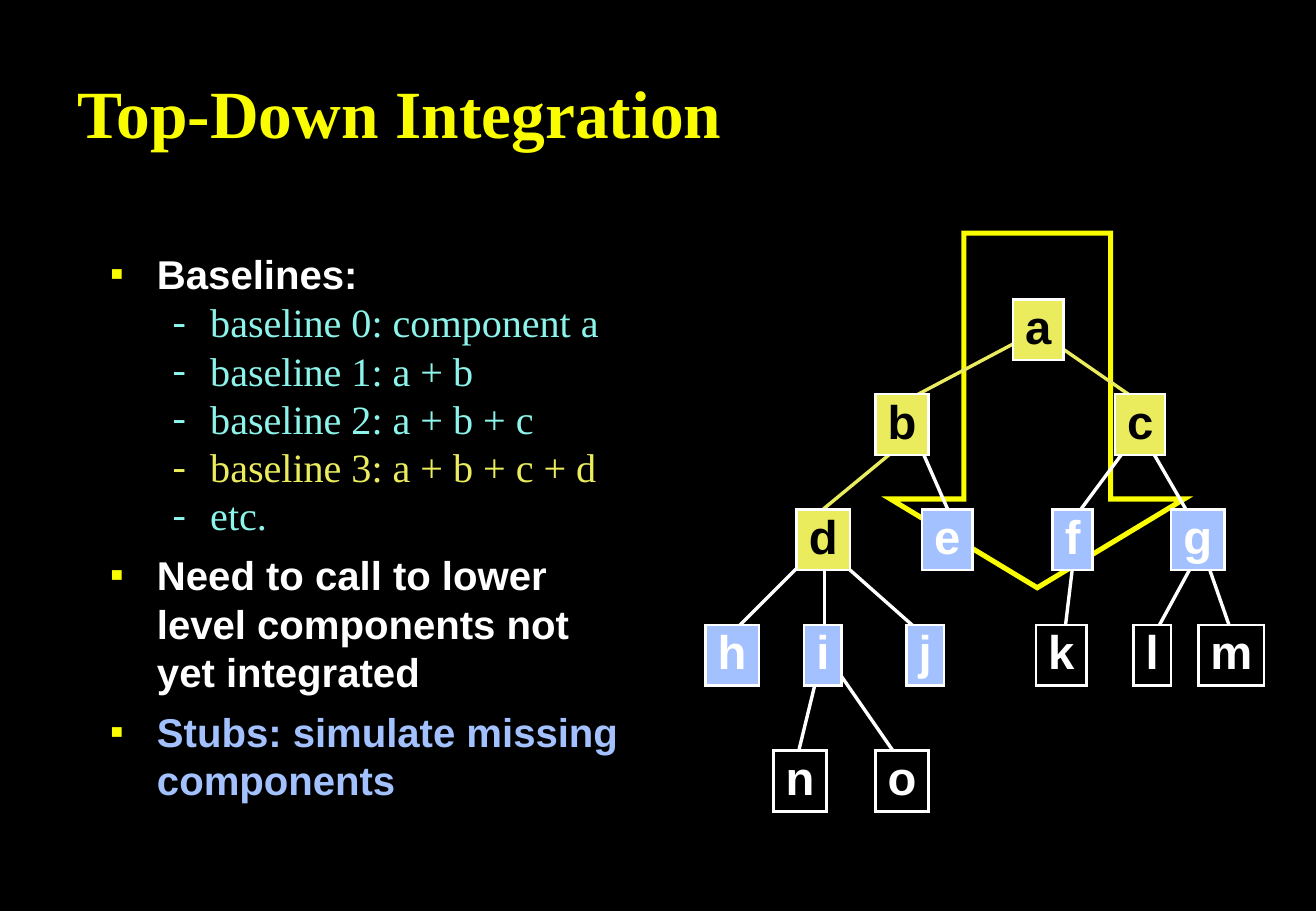
from dataclasses import dataclass

from pptx import Presentation
from pptx.dml.color import RGBColor
from pptx.enum.shapes import MSO_CONNECTOR, MSO_SHAPE
from pptx.enum.text import MSO_ANCHOR, PP_ALIGN
from pptx.oxml.ns import qn
from pptx.util import Pt
from lxml.etree import SubElement


@dataclass(frozen=True)
class Theme:
    black: str = "000000"
    white: str = "FFFFFF"
    yellow: str = "FAFD00"
    done: str = "EAEC5E"
    stub: str = "A2C1FE"
    aqua: str = "8CF4EA"
    sans: str = "Arial"
    serif: str = "Times New Roman"
    title_size: float = 40
    body_size: float = 23.8
    node_size: float = 28


THEME = Theme()

# Node boxes: width by letter, top by tree level
NODE_HEIGHT = 36
NODE_WIDTHS = {**dict.fromkeys("acek", 29.8), **dict.fromkeys("bdghno", 31.7),
               **dict.fromkeys("ijl", 22.3), "f": 23.8, "m": 39.1}
LEVEL_TOPS = [177.5, 233.7, 302, 370.4, 445]

# Left edge of each component, level by level
TREE_LEVELS = [
    {"a": 600.8},
    {"b": 519.1, "c": 661.2},
    {"d": 472.3, "e": 546.8, "f": 624.2, "g": 694.4},
    {"h": 418.3, "i": 476.8, "j": 537.4, "k": 614.4, "l": 672, "m": 710.6},
    {"n": 458.6, "o": 519.1},
]
INTEGRATED, STUBS = "abcd", "efghij"

# Call links between components: start x, y and end x, y
LINKS = {
    "be": (545.8, 265, 563.8, 306),
    "cf": (677.5, 252.7, 637.9, 306),
    "cg": (676.8, 256.3, 705.6, 306),
    "gl": (707.8, 333.4, 685.4, 374.4),
    "gm": (712.8, 324.7, 732.2, 380.2),
    "fk": (637.2, 326.2, 631.4, 374.4),
    "dh": (486.7, 322.6, 431.3, 378),
    "di": (488.9, 333.4, 488.9, 374.4),
    "dj": (499, 333.4, 549.4, 378),
    "in": (487.4, 388.8, 472.3, 450.7),
    "io": (489.6, 387.4, 535, 452.9),
    "ab": (610.6, 198.7, 537.1, 237.6),
    "ac": (618.5, 198.7, 676.8, 239),
    "bd": (532.8, 265, 483.1, 306),
}

# Body text: level, text, colour
BODY = [
    (0, "Baselines:", THEME.white),
    (1, "baseline 0: component a", THEME.aqua),
    (1, "baseline 1: a + b", THEME.aqua),
    (1, "baseline 2: a + b + c", THEME.aqua),
    (1, "baseline 3: a + b + c + d", THEME.done),
    (1, "etc.", THEME.aqua),
    (0, "Need to call to lower\vlevel components not\vyet integrated", THEME.white),
    (0, "Stubs: simulate missing\vcomponents", THEME.stub),
]


def rgb(color):
    return RGBColor.from_string(color)


def write(para, text, *, size, font, color, bold=True, align=PP_ALIGN.LEFT,
          spacing=None, before=0):
    para.text = text
    para.alignment = align
    para.line_spacing = spacing
    para.space_before = Pt(before)
    for span in para.runs:
        span.font.size = Pt(size)
        span.font.name = font
        span.font.bold = bold
        span.font.color.rgb = rgb(color)


def add_bullet(para, char, *, color, font, percent, margin, hanging):
    props = para._p.get_or_add_pPr()
    props.set("marL", str(Pt(margin)))
    props.set("indent", str(-Pt(hanging)))
    SubElement(SubElement(props, qn("a:buClr")), qn("a:srgbClr"), val=color)
    SubElement(props, qn("a:buSzPct"), val=str(percent * 1000))
    SubElement(props, qn("a:buFont"), typeface=font)
    SubElement(props, qn("a:buChar"), char=char)


def add_text_frame(page, left, top, width, height, anchor=MSO_ANCHOR.TOP):
    box = page.shapes.add_textbox(Pt(left), Pt(top), Pt(width), Pt(height))
    frame = box.text_frame
    frame.word_wrap = True
    frame.vertical_anchor = anchor
    return frame


def add_body(page):
    frame = add_text_frame(page, 58.6, 144.3, 663, 336)
    for index, (level, text, color) in enumerate(BODY):
        para = frame.add_paragraph() if index else frame.paragraphs[0]
        para.level = level
        main_point = level == 0
        font = THEME.sans if main_point else THEME.serif
        write(para, text, size=THEME.body_size, font=font, color=color,
              bold=main_point, spacing=Pt(28.6), before=7 if main_point else 0)
        if main_point:
            add_bullet(para, "■", color=THEME.yellow, font=font, percent=50,
                       margin=27.4, hanging=27.4)
        else:
            add_bullet(para, "-", color=color, font=font, percent=100,
                       margin=59, hanging=22.3)


def add_outlined(page, preset, left, top, width, height, *, fill, line, weight):
    shape = page.shapes.add_shape(preset, Pt(left), Pt(top), Pt(width), Pt(height))
    shape.shadow.inherit = False
    shape.fill.solid()
    shape.fill.fore_color.rgb = rgb(fill)
    shape.line.color.rgb = rgb(line)
    shape.line.width = Pt(weight)
    # Sharp corners
    SubElement(shape.line._get_or_add_ln(), qn("a:miter"), lim="800000")
    return shape


def add_link(page, ends, color):
    link = page.shapes.add_connector(MSO_CONNECTOR.STRAIGHT, *map(Pt, ends))
    link.line.color.rgb = rgb(color)
    link.line.width = Pt(2)
    SubElement(link._element.spPr, qn("a:effectLst"))


def add_node(page, name, left, top):
    fill, color = THEME.black, THEME.white
    if name in INTEGRATED:
        fill, color = THEME.done, THEME.black
    elif name in STUBS:
        fill = THEME.stub
    node = add_outlined(page, MSO_SHAPE.RECTANGLE, left, top, NODE_WIDTHS[name],
                        NODE_HEIGHT, fill=fill, line=THEME.white, weight=1.5)
    frame = node.text_frame
    frame.word_wrap = False
    frame.vertical_anchor = MSO_ANCHOR.MIDDLE
    write(frame.paragraphs[0], name, size=THEME.node_size, font=THEME.sans,
          color=color, align=PP_ALIGN.CENTER, spacing=0.85)


def main():
    deck = Presentation()
    deck.slide_width, deck.slide_height = Pt(780.38), Pt(540)
    page = deck.slides.add_slide(deck.slide_layouts[6])
    page.background.fill.solid()
    page.background.fill.fore_color.rgb = rgb(THEME.black)

    # Body and direction arrow
    add_body(page)
    arrow = add_outlined(page, MSO_SHAPE.DOWN_ARROW, 528, 138.2, 174.2, 210.2,
                         fill=THEME.black, line=THEME.yellow, weight=3)
    arrow.adjustments[0] = 0.5
    arrow.adjustments[1] = 0.302

    # Title
    title = add_text_frame(page, 39.1, 41.8, 663, 48.2, MSO_ANCHOR.MIDDLE)
    write(title.paragraphs[0], "Top-Down Integration", size=THEME.title_size,
          font=THEME.serif, color=THEME.yellow)

    # Component tree
    for pair, ends in LINKS.items():
        integrated = all(name in INTEGRATED for name in pair)
        add_link(page, ends, THEME.done if integrated else THEME.white)
    for top, level in zip(LEVEL_TOPS, TREE_LEVELS):
        for name, left in level.items():
            add_node(page, name, left, top)

    deck.save("out.pptx")


main()
